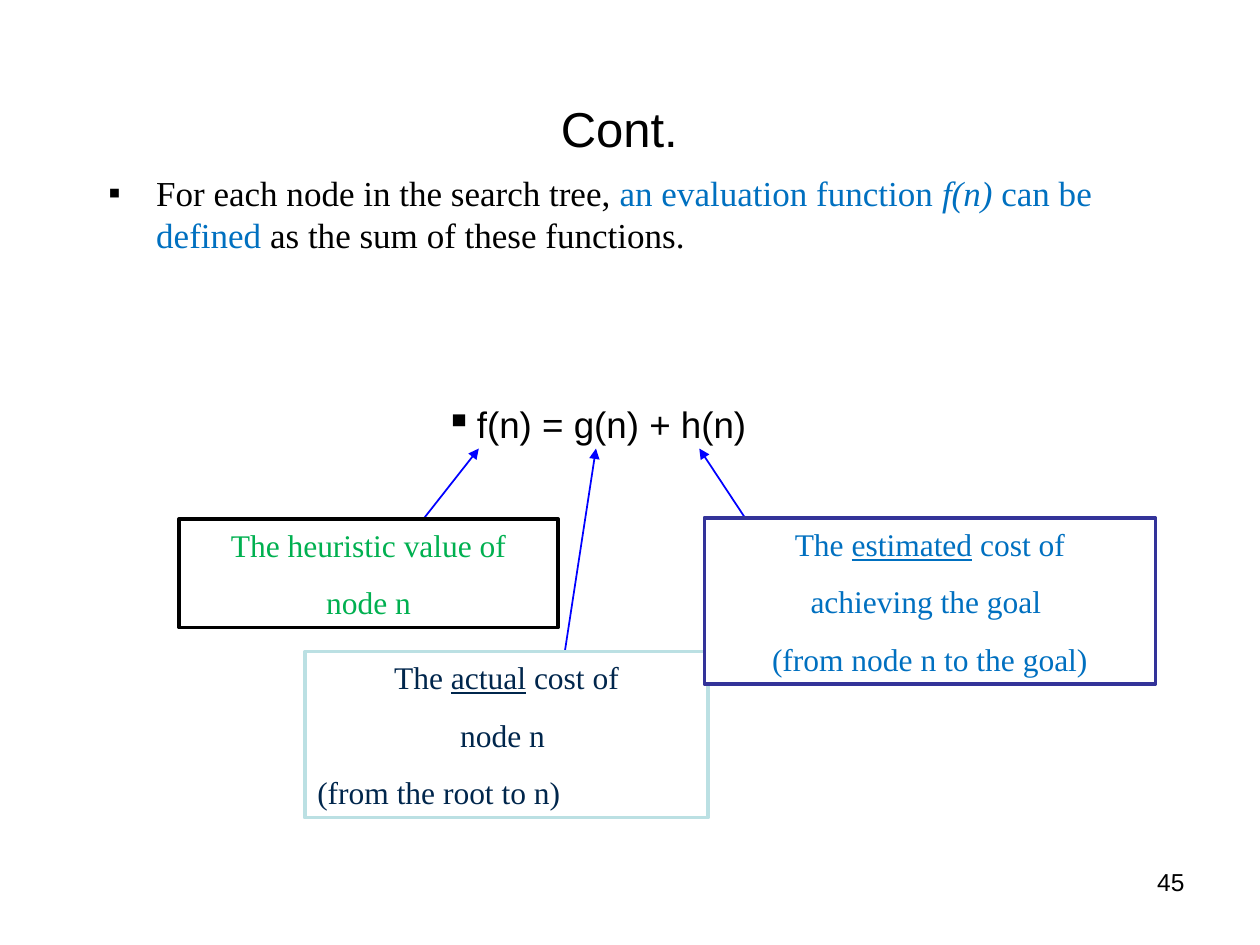
from dataclasses import dataclass
from typing import Any

from lxml import etree
from pptx import Presentation
from pptx.dml.color import RGBColor
from pptx.enum.shapes import MSO_CONNECTOR as Connector, MSO_SHAPE as Preset
from pptx.enum.text import MSO_ANCHOR as Anchor, MSO_AUTO_SIZE as AutoSize, PP_ALIGN as Align
from pptx.oxml.ns import qn
from pptx.util import Inches, Pt


@dataclass(frozen=True)
class Theme:
    sans: str = "Arial"
    serif: str = "Times New Roman"
    black: str = "000000"
    white: str = "FFFFFF"
    blue: str = "0070C0"
    green: str = "00B050"
    navy: str = "00264C"
    arrow: str = "0000FF"
    teal_border: str = "BBE0E3"
    indigo_border: str = "333399"
    title_size: int = 28
    title_gap_size: int = 44
    body_size: int = 20
    formula_size: int = 21
    note_size: int = 18
    number_size: int = 14


THEME = Theme()


@dataclass(frozen=True)
class Area:
    left: float
    top: float
    width: float
    height: float

    def lengths(self) -> tuple:
        return tuple(map(Inches, (self.left, self.top, self.width, self.height)))


@dataclass(frozen=True)
class Span:
    text: str
    color: str = THEME.black
    size: int = THEME.note_size
    font: str = THEME.serif
    italic: bool = False
    underline: bool = False


@dataclass(frozen=True)
class Line:
    spans: tuple[Span, ...]
    align: Any = Align.CENTER
    bullet_indent: float = 0
    line_spacing: float = 1.0


@dataclass(frozen=True)
class Note:
    area: Area
    border: str
    lines: tuple[Line, ...]


@dataclass(frozen=True)
class Arrow:
    start: tuple[float, float]
    end: tuple[float, float]


def apply_format(target: Any, values: dict[str, Any]) -> None:
    for name, value in values.items():
        setattr(target, name, value)


def add_bullet(paragraph: Any, indent: float) -> None:
    properties = paragraph._p.get_or_add_pPr()
    properties.set("marL", str(Inches(indent)))
    properties.set("indent", str(-Inches(indent)))
    color = etree.SubElement(properties, qn("a:buClr"))
    etree.SubElement(color, qn("a:srgbClr")).set("val", THEME.black)
    etree.SubElement(properties, qn("a:buChar")).set("char", "▪")


def write_lines(shape: Any, lines: tuple[Line, ...], anchor: Any,
                margins: tuple[float, float] = (0.1, 0.05)) -> None:
    horizontal, vertical = map(Inches, margins)
    frame = shape.text_frame
    apply_format(frame, {
        "word_wrap": True, "auto_size": AutoSize.NONE, "vertical_anchor": anchor,
        "margin_left": horizontal, "margin_right": horizontal,
        "margin_top": vertical, "margin_bottom": vertical,
    })
    for index, line in enumerate(lines):
        paragraph = frame.add_paragraph() if index else frame.paragraphs[0]
        if line.bullet_indent:
            add_bullet(paragraph, line.bullet_indent)
        apply_format(paragraph, {
            "alignment": line.align,
            "line_spacing": line.line_spacing,
            "space_before": Pt(11.2 if index else 0),
        })
        for span in line.spans:
            run = paragraph.add_run()
            run.text = span.text
            apply_format(run.font, {
                "name": span.font, "size": Pt(span.size),
                "italic": span.italic, "underline": span.underline,
            })
            run.font.color.rgb = RGBColor.from_string(span.color)


def place(shape: Any, area: Area) -> None:
    apply_format(shape, dict(zip(("left", "top", "width", "height"), area.lengths())))


def draw_arrow(slide: Any, arrow: Arrow) -> None:
    connector = slide.shapes.add_connector(
        Connector.STRAIGHT, *map(Inches, arrow.start + arrow.end))
    connector.line.color.rgb = RGBColor.from_string(THEME.arrow)
    connector.line.width = Pt(1)
    etree.SubElement(connector.line._get_or_add_ln(), qn("a:tailEnd")).set("type", "triangle")
    etree.SubElement(connector._element.spPr, qn("a:effectLst"))


def draw_note(slide: Any, note: Note) -> None:
    shape = slide.shapes.add_shape(Preset.RECTANGLE, *note.area.lengths())
    shape.shadow.inherit = False
    shape.fill.solid()
    shape.fill.fore_color.rgb = RGBColor.from_string(THEME.white)
    shape.line.color.rgb = RGBColor.from_string(note.border)
    shape.line.width = Pt(2)
    write_lines(shape, note.lines, Anchor.MIDDLE)


def cost_line(kind: str, color: str) -> Line:
    return Line((Span("The ", color), Span(kind, color, underline=True), Span(" cost of", color)))


TITLE = Line((
    Span("Cont.", size=THEME.title_size, font=THEME.sans),
    Span(" ", THEME.blue, THEME.title_gap_size, THEME.sans, italic=True),
))
BODY = Line((
    Span("For each node in the search tree, ", size=THEME.body_size),
    Span("an evaluation function ", THEME.blue, THEME.body_size),
    Span("f(n) ", THEME.blue, THEME.body_size, italic=True),
    Span("can be defined", THEME.blue, THEME.body_size),
    Span(" as the sum of these functions.", size=THEME.body_size),
), Align.LEFT, bullet_indent=0.38)
FORMULA = Line((Span("f(n) = g(n) + h(n)", size=THEME.formula_size, font=THEME.sans),),
               bullet_indent=0.25, line_spacing=0.9)
NUMBER = Line((Span("45", size=THEME.number_size, font=THEME.sans),), Align.RIGHT)

ARROWS = (
    Arrow((3.36, 4.12), (3.8, 3.56)),
    Arrow((4.48, 5.19), (4.73, 3.56)),
    Arrow((5.92, 4.12), (5.55, 3.56)),
)
NOTES = (
    Note(Area(1.42, 4.12, 3.01, 0.86), THEME.black, (
        Line((Span("The heuristic value of", THEME.green),)),
        Line((Span("node n", THEME.green),)),
    )),
    Note(Area(2.42, 5.17, 3.2, 1.32), THEME.teal_border, (
        cost_line("actual", THEME.navy),
        Line((Span("node n ", THEME.navy),)),
        Line((Span("(from the root to n)", THEME.navy),), Align.LEFT),
    )),
    Note(Area(5.59, 4.11, 3.58, 1.32), THEME.indigo_border, (
        cost_line("estimated", THEME.blue),
        Line((Span("achieving the goal ", THEME.blue),)),
        Line((Span("(from node n to the goal)", THEME.blue),)),
    )),
)


def main() -> None:
    presentation = Presentation()
    apply_format(presentation, {"slide_width": Inches(10), "slide_height": Inches(7.5)})
    slide = presentation.slides.add_slide(presentation.slide_layouts[1])
    title, body = slide.shapes.title, slide.placeholders[1]
    place(title, Area(0.5, 0.3, 9, 1.25))
    write_lines(title, (TITLE,), Anchor.MIDDLE)
    place(body, Area(0.76, 1.31, 8.76, 3.98))
    write_lines(body, (BODY,), Anchor.TOP)
    formula = slide.shapes.add_textbox(*Area(0.48, 3.19, 8.5, 3.81).lengths())
    write_lines(formula, (FORMULA,), Anchor.TOP, (0.08, 0.04))
    for arrow in ARROWS:
        draw_arrow(slide, arrow)
    for note in NOTES:
        draw_note(slide, note)
    number = slide.shapes.add_textbox(*Area(7.17, 6.83, 2.33, 0.52).lengths())
    write_lines(number, (NUMBER,), Anchor.TOP)
    presentation.save("out.pptx")


if __name__ == "__main__":
    main()
